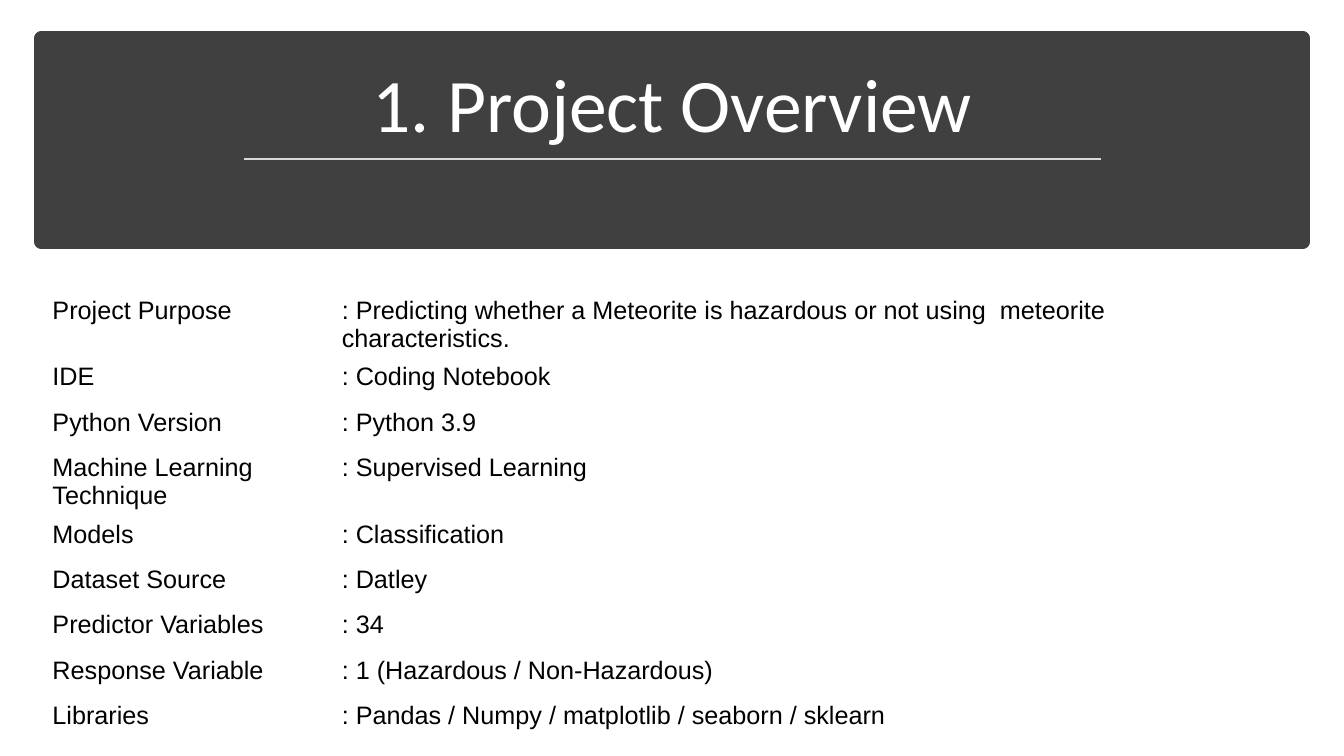
"""Build the project overview slide."""
from dataclasses import dataclass

from lxml.etree import SubElement
from pptx import Presentation
from pptx.dml.color import RGBColor
from pptx.enum.shapes import MSO_CONNECTOR, MSO_SHAPE
from pptx.enum.text import MSO_ANCHOR, MSO_AUTO_SIZE, PP_ALIGN
from pptx.oxml.ns import qn
from pptx.slide import Slide
from pptx.text.text import _Paragraph as Paragraph
from pptx.util import Inches, Pt


@dataclass(frozen=True)
class Theme:
    """Colours, fonts and sizes of the slide."""
    band: RGBColor = RGBColor(0x40, 0x40, 0x40)
    rule: RGBColor = RGBColor(0xD9, 0xD9, 0xD9)
    heading: RGBColor = RGBColor(0xFF, 0xFF, 0xFF)
    body: RGBColor = RGBColor(0, 0, 0)
    heading_font: str = "Calibri"
    body_font: str = "Arial"
    heading_size: Pt = Pt(54)
    body_size: Pt = Pt(18)
    band_line: Pt = Pt(10)
    rule_line: Pt = Pt(1.75)
    table_style: str = "{2D5ABB26-0587-4C30-8999-92F81FD0307C}"


@dataclass(frozen=True)
class Area:
    """A rectangle in percent of the slide's width and height."""
    left: float
    top: float
    width: float
    height: float

    def box(self) -> tuple[int, int, int, int]:
        """Return the rectangle as lengths on the slide."""
        return across(self.left), down(self.top), across(self.width), down(self.height)


@dataclass(frozen=True)
class Fact:
    """One labelled row of the overview."""
    label: str
    value: str


THEME = Theme()
SLIDE_WIDTH, SLIDE_HEIGHT = Inches(13.33), Inches(7.5)
BAND = Area(3.08, 5.07, 93.85, 26.93)
TITLE = Area(4.35, 6.8, 91.37, 13.6)
RULE = Area(18.15, 21.07, 63.77, 0)
TABLE = Area(3.08, 31.87, 91.9, 60.8)
LABEL_SHARE = 21.53
SPACER_ROW, FIRST_ROW, FACT_ROW = 6.67, 6.13, 6
FACTS = [
    Fact("Project Purpose", "Predicting whether a Meteorite is hazardous or not "
                            "using  meteorite characteristics."),
    Fact("IDE", "Coding Notebook"),
    Fact("Python Version", "Python 3.9"),
    Fact("Machine Learning Technique", "Supervised Learning"),
    Fact("Models", "Classification"),
    Fact("Dataset Source", "Datley"),
    Fact("Predictor Variables", "34"),
    Fact("Response Variable", "1 (Hazardous / Non-Hazardous)"),
    Fact("Libraries", "Pandas / Numpy / matplotlib / seaborn / sklearn"),
]


def across(percent: float) -> int:
    """Return a share of the slide's width."""
    return round(SLIDE_WIDTH * percent / 100)


def down(percent: float) -> int:
    """Return a share of the slide's height."""
    return round(SLIDE_HEIGHT * percent / 100)


def assign(target: object, values: dict[str, object]) -> None:
    """Set each named attribute of the target."""
    for name, value in values.items():
        setattr(target, name, value)


def write(para: Paragraph, text: str, font: str, size: Pt, colour: RGBColor) -> None:
    """Add one formatted span to a paragraph."""
    span = para.add_run()
    span.text = text
    assign(span.font, {"name": font, "size": size})
    span.font.color.rgb = colour


def add_band(page: Slide) -> None:
    """Draw the dark band behind the title."""
    band = page.shapes.add_shape(MSO_SHAPE.RECTANGLE, *BAND.box())
    band.shadow.inherit = False
    band.fill.solid()
    band.fill.fore_color.rgb = THEME.band
    band.line.color.rgb = THEME.band
    band.line.width = THEME.band_line
    page.shapes.title.element.addprevious(band.element)


def add_title(page: Slide, text: str) -> None:
    """Place and format the title."""
    title = page.shapes.title
    assign(title, dict(zip(("left", "top", "width", "height"), TITLE.box())))
    assign(title.text_frame, {"vertical_anchor": MSO_ANCHOR.BOTTOM, "word_wrap": True,
                              "auto_size": MSO_AUTO_SIZE.NONE})
    para = title.text_frame.paragraphs[0]
    assign(para, {"alignment": PP_ALIGN.CENTER, "line_spacing": 0.9})
    write(para, text, THEME.heading_font, THEME.heading_size, THEME.heading)


def add_rule(page: Slide) -> None:
    """Draw the line under the title."""
    left, top, width, _ = RULE.box()
    rule = page.shapes.add_connector(MSO_CONNECTOR.STRAIGHT, left, top, left + width, top)
    rule.line.color.rgb = THEME.rule
    rule.line.width = THEME.rule_line
    SubElement(rule.element.spPr, qn("a:effectLst"))


def add_facts(page: Slide, facts: list[Fact]) -> None:
    """Lay out the facts in a plain table below a spacer row."""
    frame = page.shapes.add_table(len(facts) + 1, 2, *TABLE.box())
    table = frame.table
    assign(table, {"first_row": False, "horz_banding": False})
    frame.element.find(".//" + qn("a:tableStyleId")).text = THEME.table_style
    for column, share in zip(table.columns, (LABEL_SHARE, TABLE.width - LABEL_SHARE)):
        column.width = across(share)
    heights = [SPACER_ROW, FIRST_ROW] + [FACT_ROW] * (len(facts) - 1)
    for row, share in zip(table.rows, heights):
        row.height = down(share)
    for cell in table.iter_cells():
        cell.fill.background()
        assign(cell, {"margin_left": Inches(0.11), "margin_right": Inches(0.11),
                      "margin_top": Inches(0.05), "margin_bottom": Inches(0.05)})
    for index, fact in enumerate(facts, start=1):
        for column, text in enumerate((fact.label, f": {fact.value}")):
            para = table.cell(index, column).text_frame.paragraphs[0]
            write(para, text, THEME.body_font, THEME.body_size, THEME.body)


def main() -> None:
    """Build and save the deck."""
    deck = Presentation()
    assign(deck, {"slide_width": SLIDE_WIDTH, "slide_height": SLIDE_HEIGHT})
    page = deck.slides.add_slide(deck.slide_layouts.get_by_name("Title Only"))
    add_band(page)
    add_title(page, "1. Project Overview")
    add_rule(page)
    add_facts(page, FACTS)
    deck.save("out.pptx")


if __name__ == "__main__":
    main()
